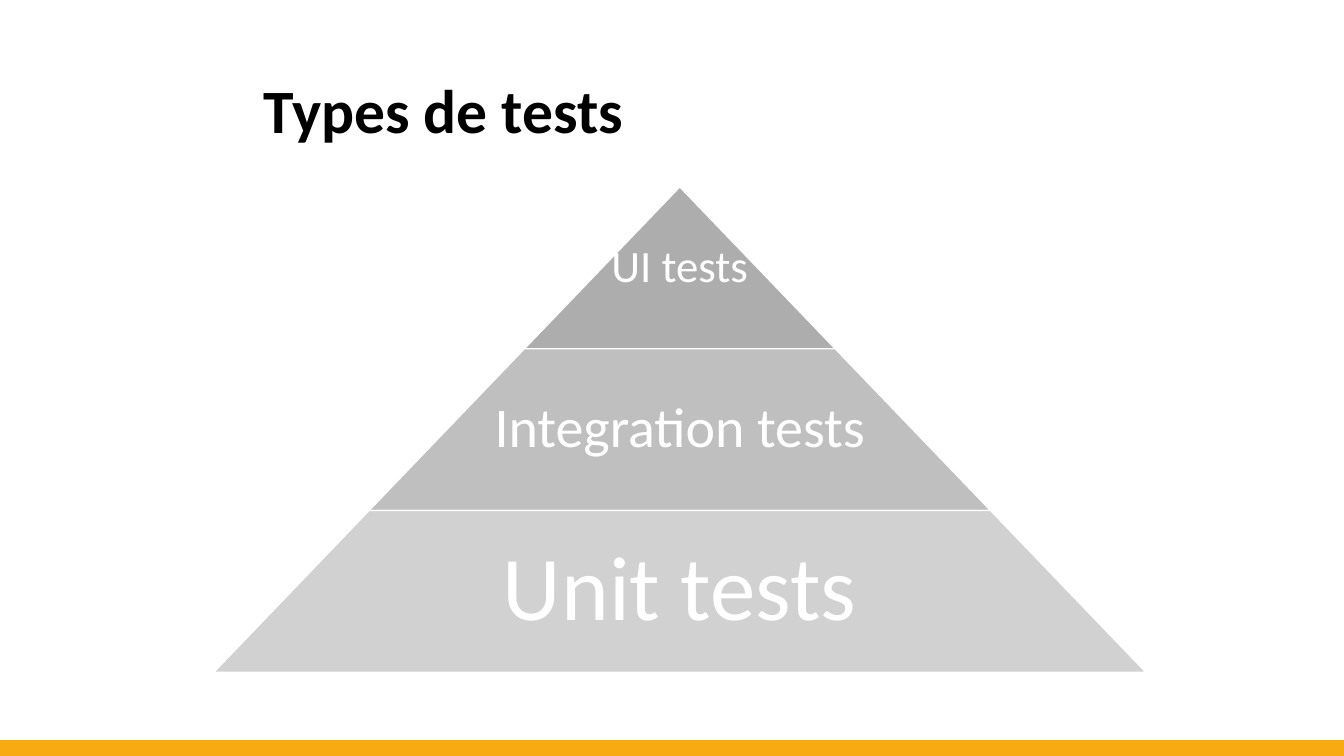
from lxml.etree import SubElement
from pptx import Presentation
from pptx.dml.color import RGBColor
from pptx.enum.shapes import MSO_SHAPE as Shape
from pptx.enum.text import MSO_ANCHOR as Anchor, PP_ALIGN as Align
from pptx.oxml.ns import qn
from pptx.util import Pt

COLOURS = {"bar": "F8AA12", "tier": "A5A5A5", "white": "FFFFFF", "title": "000000"}
PAGE_WIDTH, PAGE_HEIGHT = 960, 540
BAR_HEIGHT = 10.8

# Pyramid tiers from the apex down: label, font size, opacity %, label width, inset
TIERS = [
    ("UI tests", 32, 90, 222, 3),
    ("Integration tests", 40, 70, 289, 4),
    ("Unit tests", 65, 50, 433, 6.5),
]
PYRAMID_CENTRE, PYRAMID_TOP = 485.6, 133.5
TIER_HEIGHT, TIER_STEP = 115.6, 222


class SlideBuilder:
    def __init__(self, page, font_name, colours):
        self.page = page
        self.font_name = font_name
        self.colours = {name: RGBColor.from_string(code) for name, code in colours.items()}

    def shape(self, kind, left, top, width, height, fill, line, opacity=100):
        shape = self.page.shapes.add_shape(kind, Pt(left), Pt(top), Pt(width), Pt(height))
        shape.shadow.inherit = False
        shape.fill.solid()
        shape.fill.fore_color.rgb = self.colours[fill]
        shape.line.color.rgb = self.colours[line]
        shape.line.width = Pt(1)
        if opacity < 100:
            colour = shape.fill._xPr.find(qn("a:solidFill"))[0]
            SubElement(colour, qn("a:alpha"), val=str(opacity * 1000))
        return shape

    def text(self, words, left, top, width, height, size, colour, inset=None,
             align=Align.LEFT, bold=False):
        box = self.page.shapes.add_textbox(Pt(left), Pt(top), Pt(width), Pt(height))
        frame = box.text_frame
        frame.word_wrap = True
        frame.vertical_anchor = Anchor.MIDDLE
        if inset is not None:
            for side in ("left", "top", "right", "bottom"):
                setattr(frame, f"margin_{side}", Pt(inset))
        para = frame.paragraphs[0]
        para.alignment = align
        para.line_spacing = 0.9
        span = para.add_run()
        span.text = words
        formats = {"name": self.font_name, "size": Pt(size), "bold": bold}
        for name, value in formats.items():
            setattr(span.font, name, value)
        span.font.color.rgb = self.colours[colour]

    def tier(self, index, label, size, opacity, label_width, inset):
        """Draw one slice of the pyramid, counted from the apex, with its label."""
        width = TIER_STEP * (index + 1)
        top = PYRAMID_TOP + TIER_HEIGHT * index
        slice_shape = self.shape(Shape.TRAPEZOID, PYRAMID_CENTRE - width / 2, top,
                                 width, TIER_HEIGHT, "tier", "white", opacity)
        slice_shape.adjustments[0] = TIER_STEP / 2 / TIER_HEIGHT
        self.text(label, PYRAMID_CENTRE - label_width / 2, top, label_width,
                  TIER_HEIGHT, size, "white", inset, Align.CENTER)


def main():
    deck = Presentation()
    deck.slide_width, deck.slide_height = Pt(PAGE_WIDTH), Pt(PAGE_HEIGHT)
    page = deck.slides.add_slide(deck.slide_layouts[6])
    builder = SlideBuilder(page, "Calibri", COLOURS)

    builder.shape(Shape.RECTANGLE, 0, PAGE_HEIGHT - BAR_HEIGHT, PAGE_WIDTH, BAR_HEIGHT,
                  "bar", "bar")
    builder.text("Types de tests", 181.4, 28.8, 712.8, 104.4, 44, "title", bold=True)
    for index, tier in enumerate(TIERS):
        builder.tier(index, *tier)

    deck.save("out.pptx")


if __name__ == "__main__":
    main()
